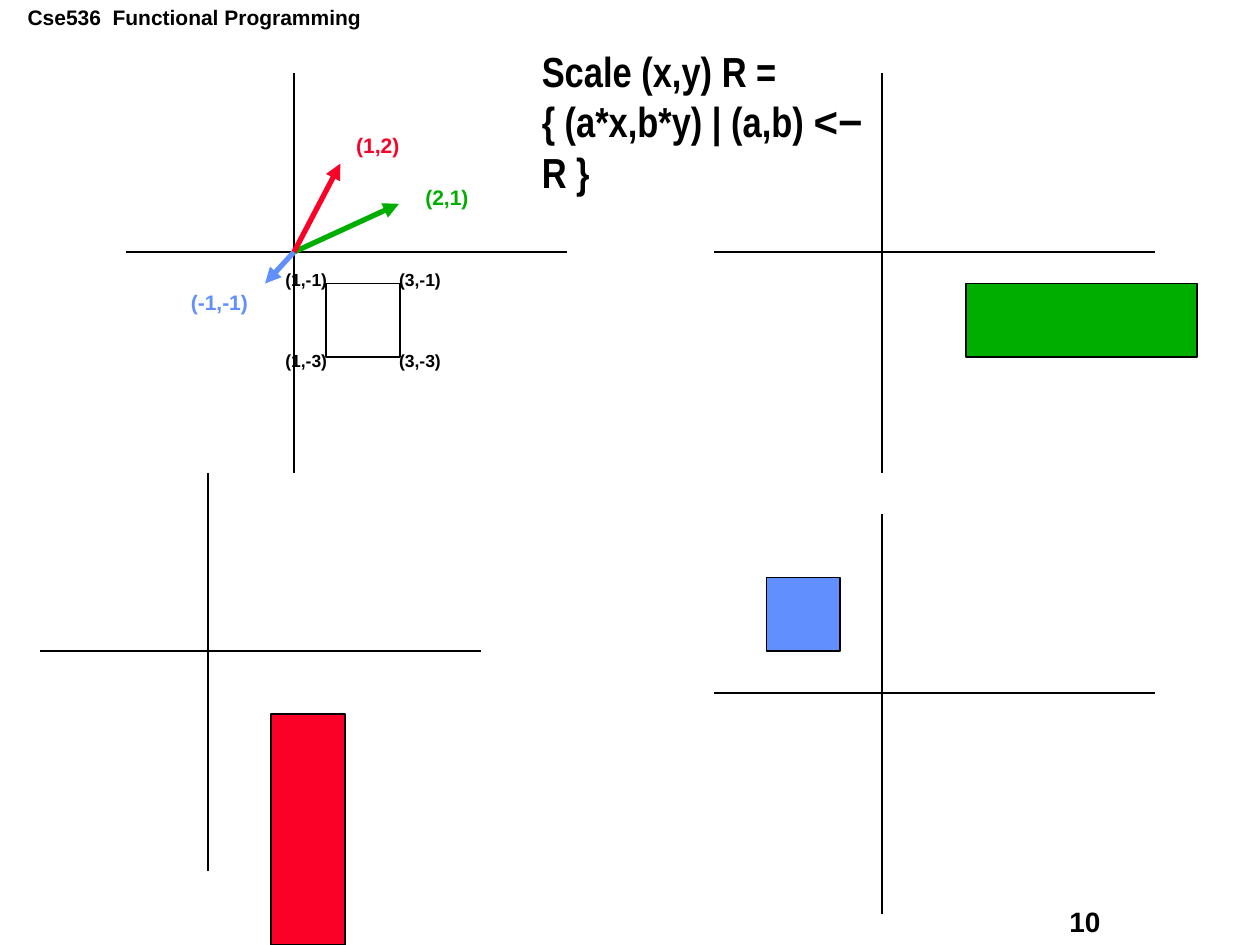
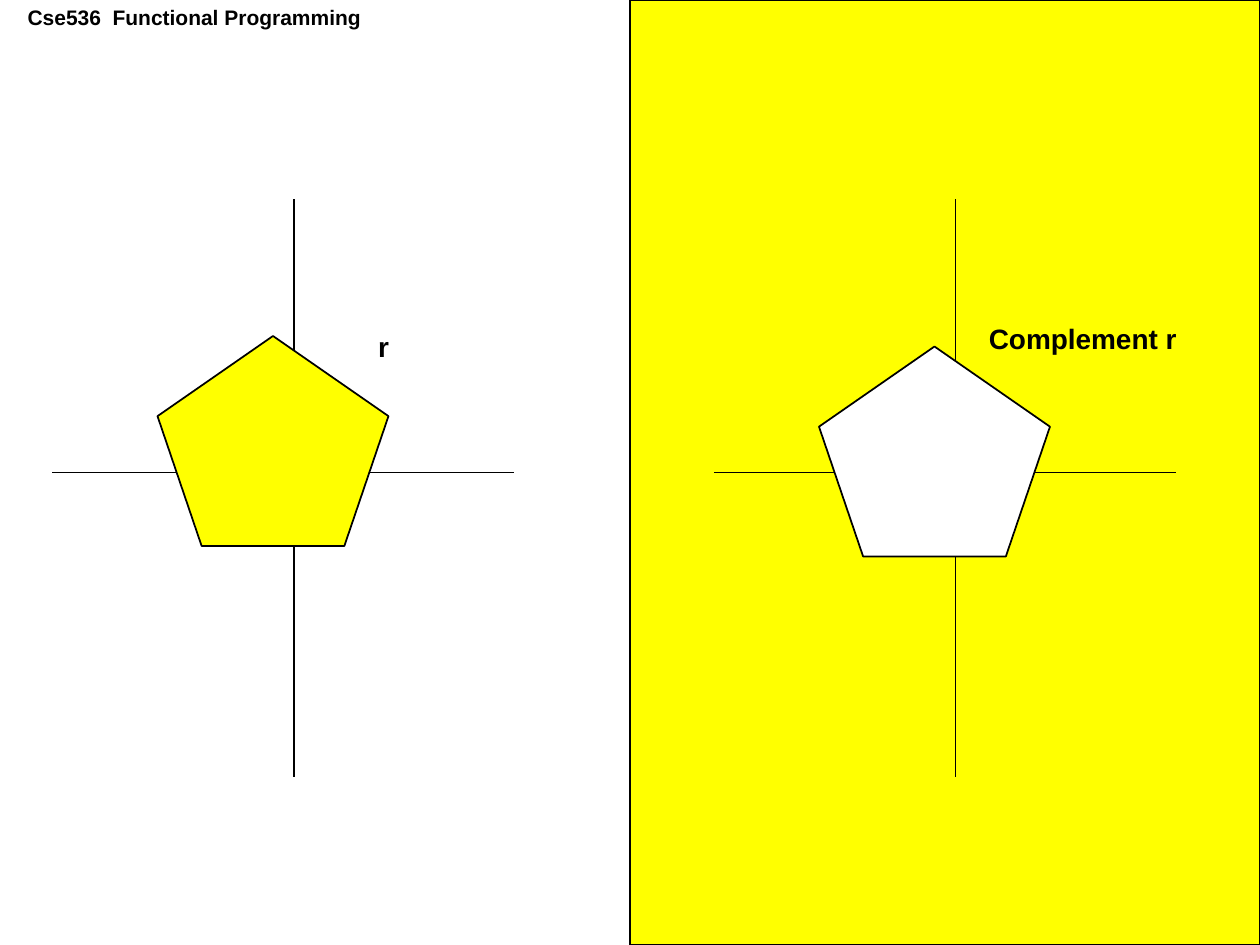
from dataclasses import dataclass

from pptx import Presentation
from pptx.dml.color import RGBColor
from pptx.enum import shapes, text
from pptx.oxml import ns, xmlchemy
from pptx.util import Pt


@dataclass(frozen=True)
class Theme:
    black: str = "000000"
    white: str = "FFFFFF"
    green: str = "00AE00"
    red: str = "FC0128"
    blue: str = "618FFD"
    yellow: str = "FFFF00"
    font: str = "Arial"
    title_font: str = "Arial Narrow"
    title_size: int = 24
    label_size: int = 16
    small_size: int = 12
    corner_size: int = 10
    thin: int = 1
    thick: int = 3


THEME = Theme()
SLIDE_WIDTH, SLIDE_HEIGHT = 720, 540
TITLE_ONLY, BLANK = 5, 6


# Basic parts
def style_font(font, size, color, name=THEME.font):
    font.name, font.size, font.bold = name, Pt(size), True
    font.color.rgb = RGBColor.from_string(color)


def set_insets(frame):
    frame.margin_left = frame.margin_right = Pt(7.2)
    frame.margin_top = frame.margin_bottom = Pt(3.6)
    frame.vertical_anchor = text.MSO_ANCHOR.TOP


def add_label(slide, words, left, top, width, size, color=THEME.black):
    label = slide.shapes.add_textbox(Pt(left), Pt(top), Pt(width), Pt(size * 1.2 + 7.2))
    frame = label.text_frame
    set_insets(frame)
    frame.word_wrap = False
    frame.text = words
    style_font(frame.paragraphs[0].runs[0].font, size, color)


def add_figure(slide, kind, left, top, width, height, fill):
    shape = slide.shapes.add_shape(kind, Pt(left), Pt(top), Pt(width), Pt(height))
    shape.shadow.inherit = False
    shape.fill.solid()
    shape.fill.fore_color.rgb = RGBColor.from_string(fill)
    shape.line.color.rgb = RGBColor.from_string(THEME.black)
    shape.line.width = Pt(THEME.thin)


def add_line(slide, start, end, color=THEME.black, weight=THEME.thin, arrow=False):
    line = slide.shapes.add_connector(
        shapes.MSO_CONNECTOR.STRAIGHT, *(Pt(value) for value in (*start, *end)))
    line.line.color.rgb = RGBColor.from_string(color)
    line.line.width = Pt(weight)
    properties = line._element.spPr
    if arrow:
        head = xmlchemy.OxmlElement("a:tailEnd")
        head.set("type", "triangle")
        properties.find(ns.qn("a:ln")).append(head)
    properties.append(xmlchemy.OxmlElement("a:effectLst"))


def add_axes(slide, box, cross):
    """Draw both axes in the box, crossing at an offset, and return the origin."""
    left, top, width, height = box
    x, y = left + cross[0], top + cross[1]
    add_line(slide, (x, top), (x, top + height))
    add_line(slide, (left, y), (left + width, y))
    return x, y


# What the slides share
def new_slide(presentation, layout):
    slide = presentation.slides.add_slide(presentation.slide_layouts[layout])
    add_label(slide, "Cse536  Functional Programming", 8.7, -0.7, 205, THEME.small_size)
    return slide


# Scaling slide
def add_formula_title(slide, left, top, width, height):
    title = slide.shapes.title
    title.left, title.top, title.width, title.height = map(Pt, (left, top, width, height))
    frame = title.text_frame
    set_insets(frame)
    frame.word_wrap = True
    frame.auto_size = text.MSO_AUTO_SIZE.NONE
    frame.text = "Scale (x,y) R ="
    set_line = frame.add_paragraph()
    for words in ("{ (a*x,b*y) | (a,b) ", "<−", " R }"):
        set_line.add_run().text = words
    for paragraph in frame.paragraphs:
        paragraph.alignment = text.PP_ALIGN.LEFT
        for run in paragraph.runs:
            name = THEME.font if run.text == "<−" else THEME.title_font
            style_font(run.font, THEME.title_size, THEME.black, name)


def add_scale_plot(slide, left, top, rectangle, fill):
    """Draw axes and a rectangle (x, y, width, height) measured from the origin."""
    x, y = add_axes(slide, (left, top, 252, 228), (96, 102))
    dx, dy, width, height = rectangle
    add_figure(slide, shapes.MSO_SHAPE.RECTANGLE, x + dx, y + dy, width, height, fill)
    return x, y


def add_vectors(slide, origin):
    x, y = origin
    vectors = (  # words, colour, tip, label offset, label width
        ("(2,1)", THEME.green, (60, -27.5), (68, -42), 39),
        ("(-1,-1)", THEME.blue, (-16.5, 18), (-66, 18), 47),
        ("(1,2)", THEME.red, (26.5, -50.5), (28.5, -72), 39),
    )
    for words, color, tip, offset, width in vectors:
        add_line(slide, origin, (x + tip[0], y + tip[1]), color, THEME.thick, arrow=True)
        add_label(slide, words, x + offset[0], y + offset[1], width, THEME.small_size, color)


def add_corner_labels(slide, origin):
    for column, dx in ((1, -12), (3, 53)):
        for row, dy in ((-1, 6), (-3, 52.5)):
            add_label(slide, f"({column},{row})", origin[0] + dx, origin[1] + dy,
                      38, THEME.corner_size)


def build_scale_slide(presentation):
    slide = new_slide(presentation, TITLE_ONLY)
    add_formula_title(slide, 302.4, 22.3, 224.6, 65)
    add_scale_plot(slide, 408, 42, (48, 18, 132, 42), THEME.green)
    add_scale_plot(slide, 23, 270, (36, 36, 42, 132), THEME.red)
    add_scale_plot(slide, 408, 294, (-66, -66, 42, 42), THEME.blue)
    origin = add_scale_plot(slide, 72, 42, (18.5, 18, 42, 42), THEME.white)
    add_vectors(slide, origin)
    add_corner_labels(slide, origin)
    add_label(slide, "10", 604, 513.4, 91, THEME.label_size)


# Complement slide
def add_region_plot(slide, left, top, fill, drop, words, label):
    """Draw axes, a pentagon and its label; label is (x, y, width) in the box."""
    add_axes(slide, (left, top, 264, 330), (138, 156))
    add_figure(slide, shapes.MSO_SHAPE.REGULAR_PENTAGON,
               left + 60, top + drop, 132, 120, fill)
    dx, dy, width = label
    add_label(slide, words, left + dx, top + dy, width, THEME.label_size)


def build_complement_slide(presentation):
    slide = new_slide(presentation, BLANK)
    half = SLIDE_WIDTH / 2
    add_figure(slide, shapes.MSO_SHAPE.RECTANGLE, half, 0, half, SLIDE_HEIGHT, THEME.yellow)
    add_region_plot(slide, 30, 114, THEME.yellow, 78, "r", (179, 71, 20))
    add_region_plot(slide, 408, 114, THEME.white, 84, "Complement r", (150, 66, 122))


def main():
    presentation = Presentation()
    presentation.slide_width, presentation.slide_height = Pt(SLIDE_WIDTH), Pt(SLIDE_HEIGHT)
    build_scale_slide(presentation)
    build_complement_slide(presentation)
    presentation.save("out.pptx")


if __name__ == "__main__":
    main()
